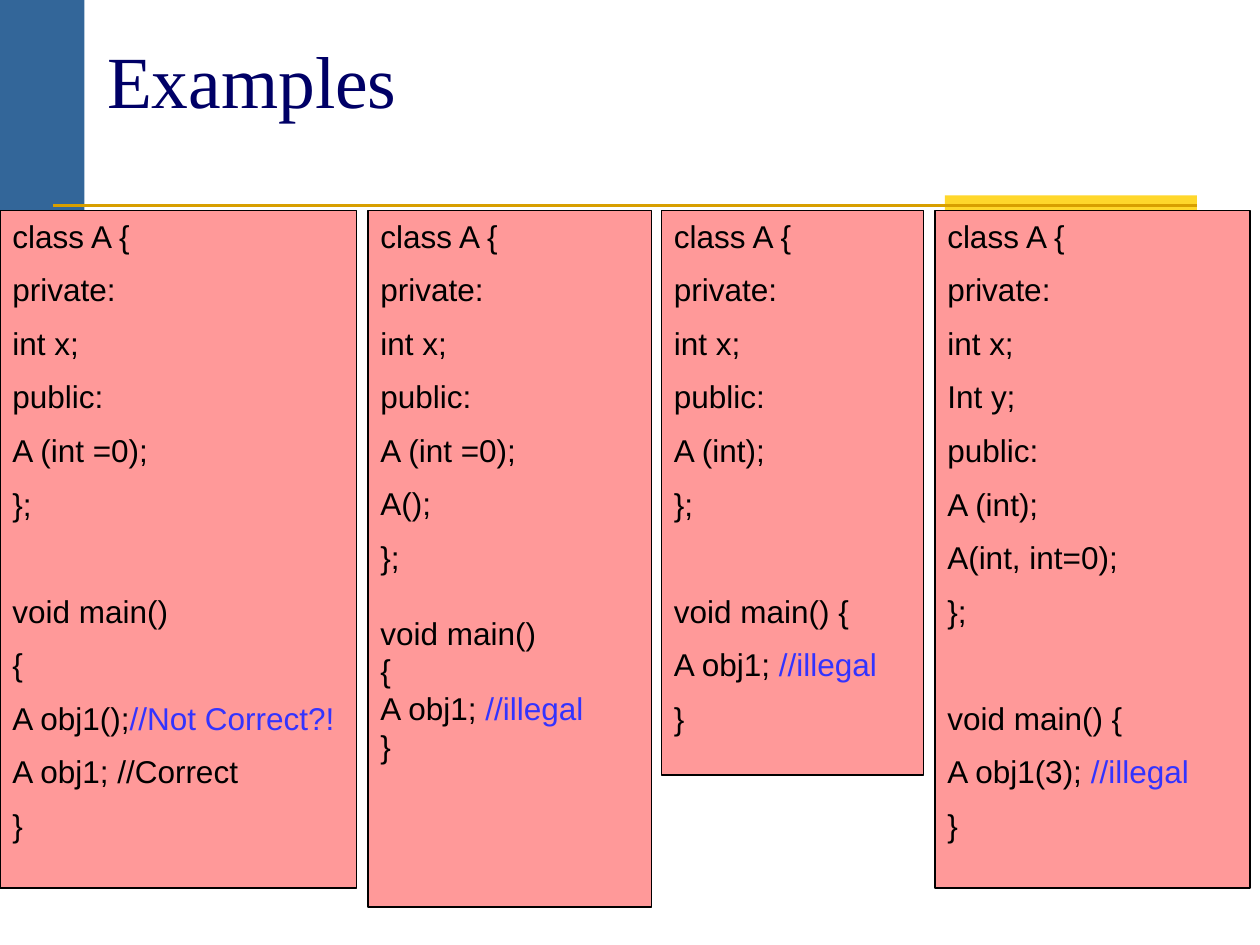
"""Build a slide with four class examples set side by side."""
from dataclasses import dataclass

from pptx import Presentation
from pptx.dml.color import RGBColor
from pptx.enum import shapes, text
from pptx.oxml import ns, xmlchemy
from pptx.util import Inches, Pt

TOP = 1.67
CODE_SIZE = 18
LINE_HEIGHT = CODE_SIZE * 1.2
LOOSE = 9
BLACK = "000000"
BLUE = "3333FF"


@dataclass
class Example:
    left: float
    width: float
    height: float
    class_lines: list[str]
    main_lines: list[str]
    main_spacing: float = LOOSE
    blue_comment: str = "//illegal"


EXAMPLES = [
    Example(0, 2.83, 5.38,
            ["class A {", "private:", "int x;", "public:", "A (int =0);", "};"],
            ["void main()", "{", "A obj1();//Not Correct?!", "A obj1; //Correct", "}"],
            blue_comment="//Not Correct?!"),
    Example(2.92, 2.25, 5.53,
            ["class A {", "private:", "int x;", "public:", "A (int =0);", "A();", "};"],
            ["void main()", "{", "A obj1; //illegal", "}"],
            main_spacing=0),
    Example(5.25, 2.08, 4.48,
            ["class A {", "private:", "int x;", "public:", "A (int);", "};"],
            ["void main() {", "A obj1; //illegal", "}"]),
    Example(7.42, 2.5, 5.38,
            ["class A {", "private:", "int x;", "Int y;", "public:", "A (int);",
             "A(int, int=0);", "};"],
            ["void main() {", "A obj1(3); //illegal", "}"]),
]


def color(value: str) -> RGBColor:
    return RGBColor.from_string(value)


def add_span(para, words: str, *, size: float = CODE_SIZE, font: str = "Arial",
             fill: str = BLACK) -> None:
    span = para.add_run()
    span.text = words
    span.font.size = Pt(size)
    span.font.name = font
    span.font.color.rgb = color(fill)


def add_box(page, left: float, top: float, width: float, height: float,
            fill: str, outline: str | None = None):
    box = page.shapes.add_shape(shapes.MSO_SHAPE.RECTANGLE, Inches(left), Inches(top),
                                Inches(width), Inches(height))
    box.shadow.inherit = False
    box.fill.solid()
    box.fill.fore_color.rgb = color(fill)
    if outline:
        box.line.color.rgb = color(outline)
        box.line.width = Pt(1)
    else:
        box.line.fill.background()
    return box


def add_rule(page, left: float, right: float, top: float) -> None:
    rule = page.shapes.add_connector(shapes.MSO_CONNECTOR.STRAIGHT, Inches(left),
                                     Inches(top), Inches(right), Inches(top))
    rule.line.color.rgb = color("D89F00")
    rule.line.width = Pt(1.5)
    rule._element.spPr.append(xmlchemy.OxmlElement("a:effectLst"))


def add_title(page, words: str) -> None:
    title = page.shapes.title
    title.left, title.top = Inches(0.75), Inches(0)
    title.width, title.height = Inches(8.5), Inches(1.25)
    title.text_frame.vertical_anchor = text.MSO_ANCHOR.MIDDLE
    para = title.text_frame.paragraphs[0]
    para.alignment = text.PP_ALIGN.LEFT
    add_span(para, words, size=42, font="Times New Roman", fill="000066")


def add_example(page, example: Example) -> None:
    box = add_box(page, example.left, TOP, example.width, example.height, "FF9999", BLACK)
    frame = box.text_frame
    frame.word_wrap = True
    frame.vertical_anchor = text.MSO_ANCHOR.TOP
    main_start = len(example.class_lines)
    for index, line in enumerate(example.class_lines + example.main_lines):
        para = frame.add_paragraph() if index else frame.paragraphs[0]
        para.alignment = text.PP_ALIGN.LEFT
        spacing = LOOSE if index < main_start else example.main_spacing
        if index == main_start:
            spacing = 2 * spacing + LINE_HEIGHT
        para.space_before = Pt(spacing if index else 0)
        code, comment, _ = line.partition(example.blue_comment)
        add_span(para, code)
        if comment:
            add_span(para, comment, fill=BLUE)


def main() -> None:
    deck = Presentation()
    deck.slide_width, deck.slide_height = Inches(10), Inches(7.5)
    page = deck.slides.add_slide(deck.slide_layouts[5])
    add_box(page, 0, 0, 0.67, 5.33, "336699")
    add_box(page, 7.5, 1.55, 2, 0.2, "FFD72B")
    add_rule(page, 0.42, 9.5, 1.63)
    add_title(page, "Examples")
    for example in EXAMPLES:
        add_example(page, example)
    deck.save("out.pptx")


if __name__ == "__main__":
    main()
